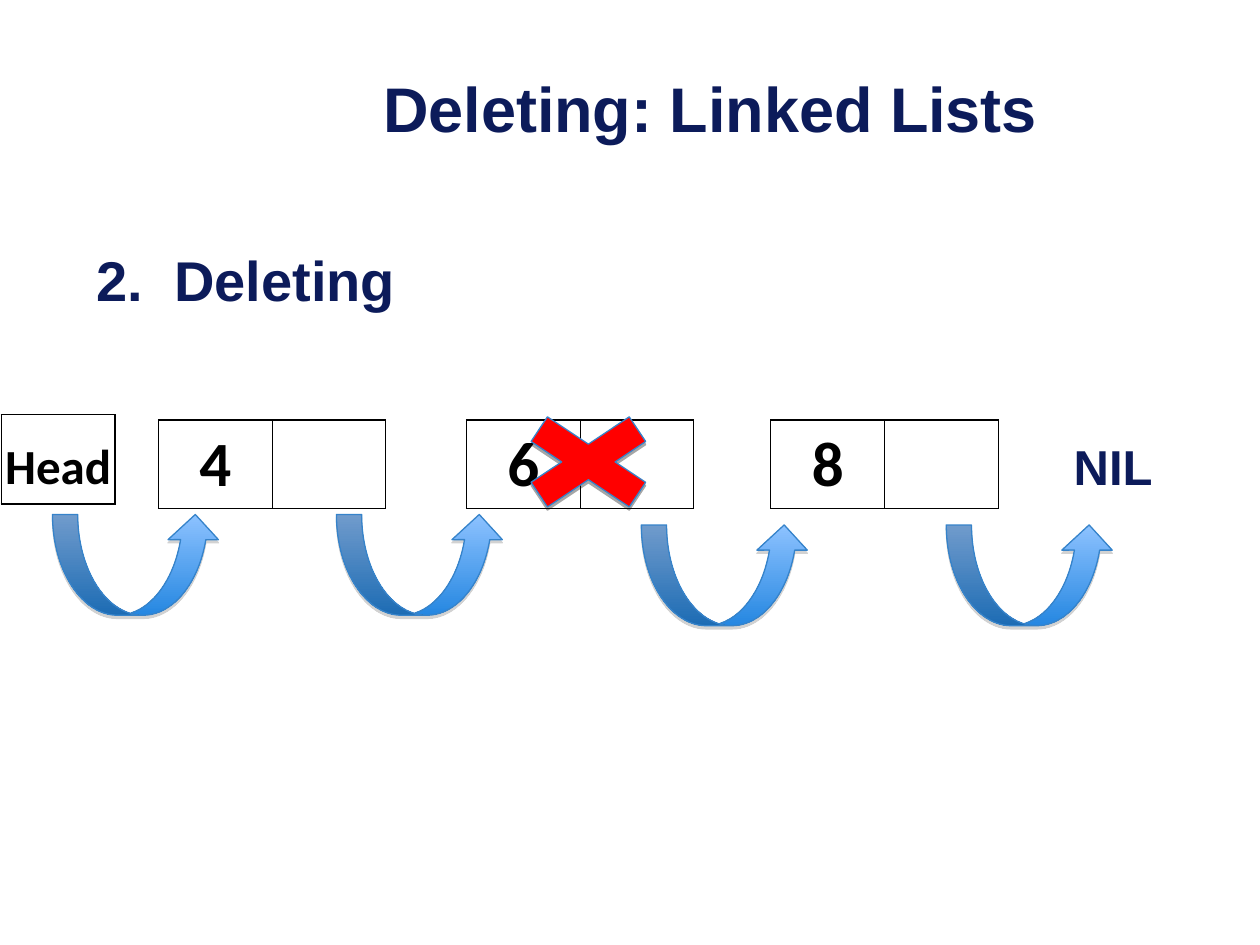
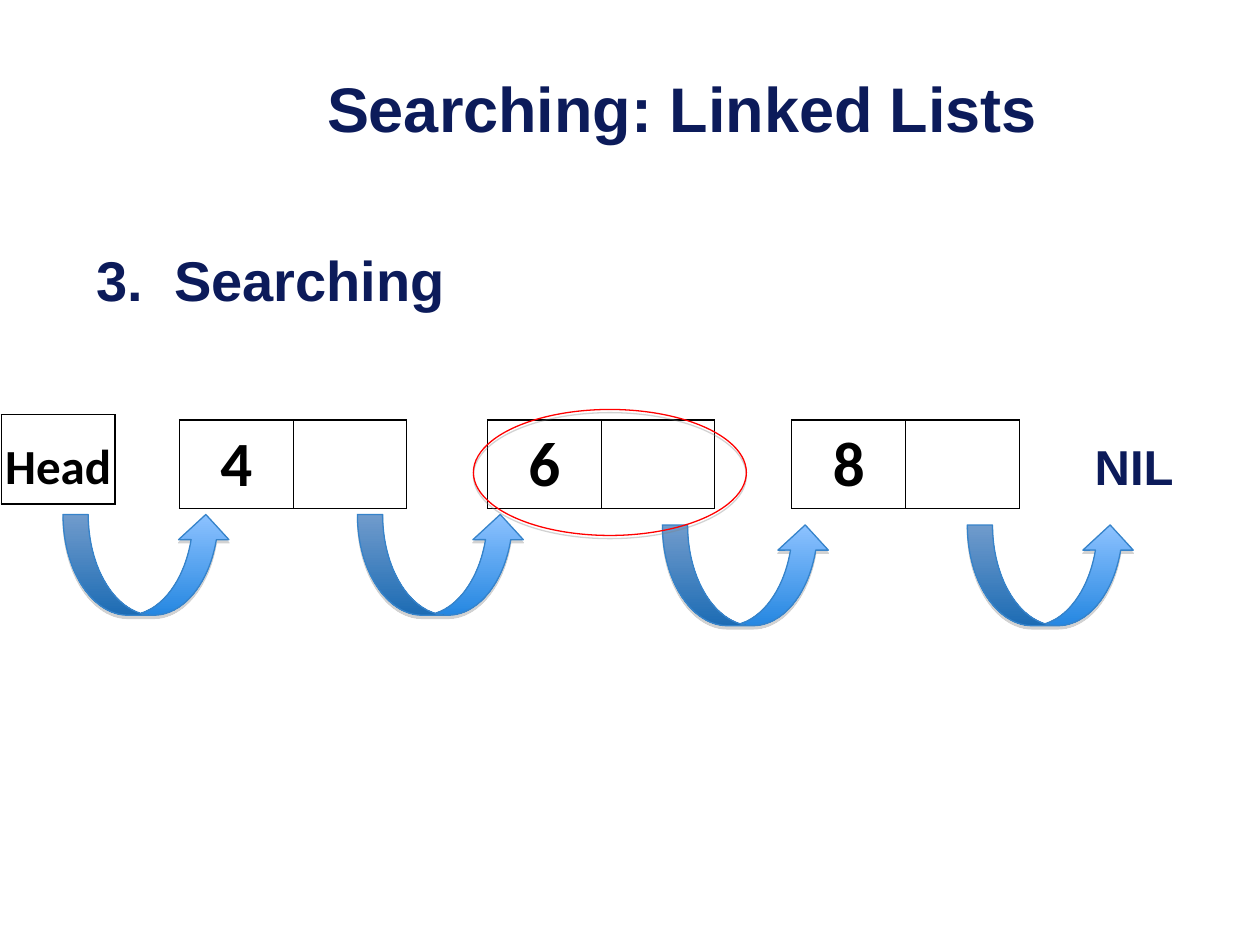
from lxml.etree import SubElement
from pptx import Presentation
from pptx.dml.color import RGBColor
from pptx.enum.shapes import MSO_SHAPE
from pptx.enum.text import MSO_ANCHOR, PP_ALIGN
from pptx.oxml.ns import qn
from pptx.util import Pt

NAVY, BLACK, WHITE, RED = "0C1B5A", "000000", "FFFFFF", "FF0000"
EDGE, LIGHT, DEEP, GREY = "3683CA", "8DC2FF", "2587E1", "808080"
CELL = 65
NODES = (("4", 90.5), ("6", 266.5), ("8", 440.5))
LINKS = ((192.25, 294), (366.5, 300), (540.75, 300))


def paint(target, color):
    """Give a font, line or fill format a solid hex colour."""
    fill = target if hasattr(target, "solid") else target.fill
    fill.solid()
    fill.fore_color.rgb = RGBColor.from_string(color)


def write(frame, text, size=28, font="Arial", color=NAVY, align=PP_ALIGN.LEFT,
          anchor=MSO_ANCHOR.TOP, spacing=None, tab=None):
    """Put one bold paragraph into a text frame."""
    frame.vertical_anchor = anchor
    para = frame.paragraphs[0]
    para.alignment = align
    if spacing:
        para.line_spacing = spacing
    if tab:
        stops = SubElement(para._p.get_or_add_pPr(), qn("a:tabLst"))
        SubElement(stops, qn("a:tab"), pos=str(Pt(tab)), algn="l")
    run = para.add_run()
    run.text = text
    run.font.size, run.font.name, run.font.bold = Pt(size), font, True
    paint(run.font, color)


def label(slide, text, box, **style):
    """Add a text box."""
    frame = slide.shapes.add_textbox(*map(Pt, box)).text_frame
    frame.word_wrap = True
    write(frame, text, **style)


def border(cell):
    """Draw thin black lines around a table cell."""
    props = cell._tc.get_or_add_tcPr()
    for side in ("lnL", "lnR", "lnT", "lnB"):
        line = SubElement(props, qn(f"a:{side}"), w=str(Pt(0.75)))
        SubElement(SubElement(line, qn("a:solidFill")), qn("a:srgbClr"), val=BLACK)


def node(slide, texts, left, top, height, size):
    """Add a one-row table with a cell for each text."""
    box = map(Pt, (left, top, CELL * len(texts), height))
    table = slide.shapes.add_table(1, len(texts), *box).table
    table.first_row = table.horz_banding = False
    for cell, text in zip(table.iter_cells(), texts):
        border(cell)
        paint(cell.fill, WHITE)
        cell.margin_left = cell.margin_right = Pt(0.75)
        cell.vertical_anchor = MSO_ANCHOR.BOTTOM
        if text:
            write(cell.text_frame, text, size=size, font="Calibri", color=BLACK,
                  align=PP_ALIGN.CENTER, anchor=MSO_ANCHOR.BOTTOM)


def figure(slide, kind, box, line=EDGE, shade=GREY):
    """Add an outlined preset shape with a short shadow below it."""
    shape = slide.shapes.add_shape(kind, *map(Pt, box))
    shape.line.width = Pt(0.75)
    paint(shape.line, line)
    shape.shadow.inherit = False
    effects = shape._element.spPr.find(qn("a:effectLst"))
    shadow = SubElement(effects, qn("a:outerShdw"), blurRad="0", dist=str(Pt(1.8)),
                        dir="5400000", rotWithShape="0")
    color = SubElement(shadow, qn("a:srgbClr"), val=shade)
    SubElement(color, qn("a:alpha"), val="35000")
    return shape


def arrow(slide, left, top):
    """Add a curved arrow that links two nodes."""
    fill = figure(slide, MSO_SHAPE.CURVED_UP_ARROW, (left, top, 96, 57.6)).fill
    fill.gradient()
    fill.gradient_angle = 270
    for stop, color, place in zip(fill.gradient_stops, (LIGHT, DEEP), (0, 1)):
        stop.color.rgb = RGBColor.from_string(color)
        stop.position = place


def cross(slide):
    """Strike out the node that is deleted."""
    shape = figure(slide, MSO_SHAPE.MATH_MULTIPLY, (282.25, 228, 108, 72), shade=BLACK)
    paint(shape.fill, RED)


def ring(slide):
    """Circle the node that is found."""
    shape = figure(slide, MSO_SHAPE.OVAL, (270.5, 234, 156, 72), line=RED)
    shape.fill.background()


def build(deck, number, topic, mark, shift):
    """Add a slide with the list, moved right by shift, and its mark."""
    slide = deck.slides.add_slide(deck.slide_layouts[6])
    label(slide, f"{topic}: Linked Lists", (6, 42, 594, 38), size=36,
          align=PP_ALIGN.RIGHT, anchor=MSO_ANCHOR.MIDDLE)
    label(slide, f"{number}.\t{topic}", (48, 144, 606, 318), size=32,
          spacing=0.8, tab=44.5)
    for value, left in NODES:
        node(slide, (value, ""), left + shift, 240, 46.8, 36)
    for left, top in LINKS:
        arrow(slide, left + shift, top)
    mark(slide)
    label(slide, "NIL", (606.5 + shift, 246, 64, 41))
    node(slide, ("Head",), 0.75, 237, 51, 28)
    arrow(slide, 30 + shift / 2, 294)


def main():
    """Build and save the deck."""
    deck = Presentation()
    deck.slide_width, deck.slide_height = Pt(720), Pt(540)
    build(deck, 2, "Deleting", cross, 0)
    build(deck, 3, "Searching", ring, 12)
    deck.save("out.pptx")


if __name__ == "__main__":
    main()
